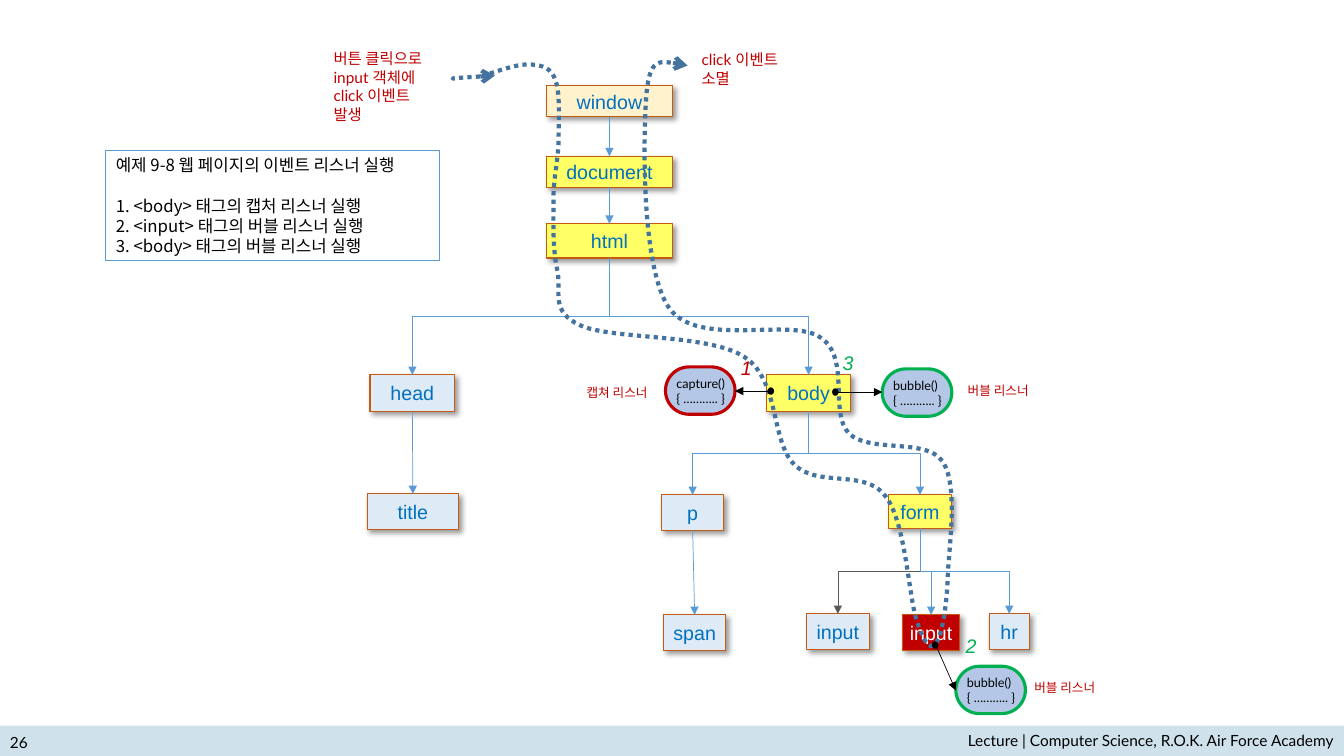
from lxml import etree
from pptx import Presentation
from pptx.dml.color import RGBColor
from pptx.enum.dml import MSO_LINE
from pptx.enum.shapes import MSO_CONNECTOR, MSO_SHAPE
from pptx.enum.text import MSO_ANCHOR, PP_ALIGN
from pptx.oxml.ns import qn
from pptx.util import Inches, Pt

RECTANGLE, PILL, OVAL = MSO_SHAPE.RECTANGLE, MSO_SHAPE.ROUNDED_RECTANGLE, MSO_SHAPE.OVAL
STRAIGHT, ELBOW = MSO_CONNECTOR.STRAIGHT, MSO_CONNECTOR.ELBOW
LEFT, CENTER, RIGHT = PP_ALIGN.LEFT, PP_ALIGN.CENTER, PP_ALIGN.RIGHT
TOP, MIDDLE = MSO_ANCHOR.TOP, MSO_ANCHOR.MIDDLE
DOTTED = MSO_LINE.ROUND_DOT

COLORS = {
    "bar": "CFE2EB", "black": "000000", "white": "FFFFFF", "red": "C00000",
    "green": "00B050", "label": "0070C0", "border": "C55A11", "link": "5B9BD5",
    "gray": "595959", "flow": "43739E", "cream": "FFF2CC", "yellow": "FFFF66",
    "pale": "DEEBF7", "listener": "B4C7E7",
}
COLORS = {name: RGBColor.from_string(value) for name, value in COLORS.items()}


def write_text(shape, text, size=11, color="black", font="Lato", align=LEFT, anchor=TOP,
               insets=(0.1, 0.05, 0.1, 0.05), wrap=True, italic=False, before=0, spacing=None):
    frame = shape.text_frame
    frame.word_wrap = wrap
    frame.vertical_anchor = anchor
    frame.margin_left, frame.margin_top, frame.margin_right, frame.margin_bottom = map(Inches, insets)
    for index, line in enumerate(text.split("\n")):
        para = frame.add_paragraph() if index else frame.paragraphs[0]
        para.alignment = align
        para.space_before = Pt(before)
        if spacing:
            para.line_spacing = Pt(spacing)
        span = para.add_run()
        span.text = line
        span.font.name = font
        span.font.size = Pt(size)
        span.font.italic = italic
        span.font.color.rgb = COLORS[color]


def style_arrow(arrow, color, width=0.5, head="triangle", dash=None):
    arrow.line.color.rgb = COLORS[color]
    arrow.line.width = Pt(width)
    if dash:
        arrow.line.dash_style = dash
    properties = arrow._element.spPr
    etree.SubElement(properties.find(qn("a:ln")), qn("a:tailEnd"), type=head)
    etree.SubElement(properties, qn("a:effectLst"))


deck = Presentation()
deck.slide_width, deck.slide_height = Inches(13.33), Inches(7.5)
page = deck.slides.add_slide(deck.slide_layouts[6])
shapes = page.shapes

bar = shapes.add_shape(RECTANGLE, 0, Inches(7.2), Inches(13.33), Inches(0.3))
bar.shadow.inherit = False
bar.fill.solid()
bar.fill.fore_color.rgb = COLORS["bar"]
bar.line.fill.background()

NODES = [
    ("window", "window", 5.42, 0.85, 1.25, 0.31, "cream"),
    ("document", "document", 5.42, 1.55, 1.25, 0.31, "yellow"),
    ("html", "html", 5.42, 2.22, 1.25, 0.34, "yellow"),
    ("head", "head", 3.67, 3.72, 0.84, 0.36, "pale"),
    ("body", "body", 7.6, 3.72, 0.84, 0.36, "yellow"),
    ("title", "title", 3.64, 4.9, 0.91, 0.35, "pale"),
    ("p", "p", 6.56, 4.91, 0.62, 0.35, "pale"),
    ("form", "form", 8.81, 4.91, 0.63, 0.33, "yellow"),
    ("span", "span", 6.58, 6.1, 0.62, 0.35, "pale"),
    ("first input", "input", 8, 6.09, 0.62, 0.35, "pale"),
    ("target input", "input", 8.95, 6.1, 0.57, 0.35, "red"),
    ("hr", "hr", 9.81, 6.09, 0.4, 0.35, "pale"),
]
nodes = {}
for key, label, left, top, width, height, fill in NODES:
    node = shapes.add_shape(RECTANGLE, Inches(left), Inches(top), Inches(width), Inches(height))
    node.fill.solid()
    node.fill.fore_color.rgb = COLORS[fill]
    node.line.color.rgb = COLORS["border"]
    node.line.width = Pt(0.75)
    node.shadow.inherit = False
    shadow = etree.SubElement(node._element.spPr.find(qn("a:effectLst")), qn("a:outerShdw"),
                              blurRad="50800", dist="38100", dir="2700000", algn="tl", rotWithShape="0")
    shade = etree.SubElement(shadow, qn("a:srgbClr"), val=str(COLORS["black"]))
    etree.SubElement(shade, qn("a:alpha"), val="40000")
    write_text(node, label, size=14, color="white" if fill == "red" else "label", font="Arial",
               align=CENTER, anchor=MIDDLE, insets=(0.04, 0.05, 0.04, 0.05), wrap=False, before=2.8)
    nodes[key] = node

LINKS = [
    ("window", "document", STRAIGHT), ("document", "html", STRAIGHT),
    ("head", "title", STRAIGHT), ("p", "span", STRAIGHT),
    ("html", "head", ELBOW), ("html", "body", ELBOW),
    ("body", "p", ELBOW), ("body", "form", ELBOW),
    ("form", "first input", ELBOW), ("form", "target input", ELBOW), ("form", "hr", ELBOW),
]
for parent, child, kind in LINKS:
    link = shapes.add_connector(kind, 0, 0, 0, 0)
    link.begin_connect(nodes[parent], 2)
    link.end_connect(nodes[child], 0)
    if kind == ELBOW:
        goes_right = link.end_x > link.begin_x
        across, down = link.width, link.height
        link.left += (across - down) // 2
        link.top += (down - across) // 2
        link.width, link.height = down, across
        frame = link._element.spPr.find(qn("a:xfrm"))
        frame.set("rot", "16200000" if goes_right else "5400000")
        frame.set("flipH", "1" if goes_right else "0")
    style_arrow(link, "gray" if child == "first input" else "link")

EVENT_ROUTE = [
    (4.86, 0.73),
    (5.01, 0.68, 5.16, 0.63, 5.27, 0.64), (5.38, 0.65, 5.47, 0.67, 5.51, 0.8),
    (5.56, 0.93, 5.54, 1.23, 5.54, 1.43), (5.53, 1.62, 5.49, 1.77, 5.49, 1.98),
    (5.49, 2.19, 5.48, 2.48, 5.53, 2.69), (5.57, 2.9, 5.45, 3.09, 5.76, 3.23),
    (6.07, 3.37, 7.03, 3.31, 7.38, 3.54), (7.74, 3.77, 7.64, 4.38, 7.88, 4.61),
    (8.11, 4.84, 8.58, 4.65, 8.78, 4.92), (8.99, 5.18, 9.01, 5.94, 9.1, 6.18),
    (9.18, 6.42, 9.24, 6.45, 9.29, 6.37), (9.34, 6.3, 9.39, 6.03, 9.4, 5.73),
    (9.41, 5.43, 9.51, 4.82, 9.35, 4.58), (9.19, 4.34, 8.63, 4.5, 8.42, 4.3),
    (8.22, 4.09, 8.44, 3.55, 8.14, 3.35), (7.85, 3.14, 6.93, 3.46, 6.64, 3.06),
    (6.36, 2.67, 6.38, 1.37, 6.41, 0.96), (6.44, 0.56, 6.63, 0.61, 6.82, 0.65),
]
EVENT_START = [(4.51, 0.78), (4.42, 0.78, 4.91, 0.75, 4.91, 0.75)]
for start, *curves in (EVENT_ROUTE, EVENT_START):
    builder = shapes.build_freeform(Inches(start[0]), Inches(start[1]))
    builder.add_line_segments([(Inches(curve[4]), Inches(curve[5])) for curve in curves], close=False)
    route = builder.convert_to_shape()
    route.fill.background()
    segments = list(route._element.iter(qn("a:lnTo")))
    for segment, curve in zip(segments, curves):
        bend = etree.Element(qn("a:cubicBezTo"))
        for x, y in zip(curve[::2], curve[1::2]):
            etree.SubElement(bend, qn("a:pt"), x=str(Inches(x) - route.left), y=str(Inches(y) - route.top))
        segment.getparent().replace(segment, bend)
    style_arrow(route, "flow", width=3, head="arrow", dash=DOTTED)

LISTENERS = [
    ("capture()", 6.6, 3.64, "red", (7.62, 3.85), (7.62, 3.88), (7.29, 3.88)),
    ("bubble()", 9.48, 6.61, "green", (9.25, 6.37), (9.29, 6.42), (9.48, 6.85)),
    ("bubble()", 8.75, 3.66, "green", (8.26, 3.86), (8.31, 3.89), (8.75, 3.89)),
]
for name, left, top, outline, dot_corner, begin, end in LISTENERS:
    listener = shapes.add_shape(PILL, Inches(left), Inches(top), Inches(0.69), Inches(0.47))
    listener.adjustments[0] = 0.5
    dot = shapes.add_shape(OVAL, *map(Inches, dot_corner), Inches(0.05), Inches(0.06))
    for shape, fill, edge, weight in ((listener, "listener", outline, 2.25), (dot, "black", "black", 1)):
        shape.shadow.inherit = False
        shape.fill.solid()
        shape.fill.fore_color.rgb = COLORS[fill]
        shape.line.color.rgb = COLORS[edge]
        shape.line.width = Pt(weight)
    write_text(listener, name + "\n{ ……….. }", size=9, anchor=MIDDLE,
               insets=(0.04, 0.04, 0, 0.04), wrap=False)
    pointer = shapes.add_connector(STRAIGHT, *map(Inches, begin + end))
    style_arrow(pointer, "black")

summary = shapes.add_shape(RECTANGLE, Inches(1.05), Inches(1.49), Inches(3.31), Inches(1.09))
summary.shadow.inherit = False
summary.fill.background()
summary.line.color.rgb = COLORS["link"]
summary.line.width = Pt(0.75)
write_text(summary, "예제 9-8 웹 페이지의 이벤트 리스너 실행\n1. <body> 태그의 캡처 리스너 실행\n"
           "2. <input> 태그의 버블 리스너 실행\n3. <body> 태그의 버블 리스너 실행",
           size=12, font="Noto Sans CJK KR", spacing=14.4)
summary.text_frame.paragraphs[1].space_before = Pt(14.4)

event = {"color": "red"}
caption = {"size": 9, "color": "red"}
step = {"size": 14, "font": "Arial", "italic": True}
LABELS = [
    ("버튼 클릭으로\ninput 객체에\nclick 이벤트 발생", 3.21, 0.44, 1.1, 0.66, event),
    ("click 이벤트 소멸", 6.86, 0.45, 1.1, 0.29, event),
    ("1", 7.25, 3.48, 0.31, 0.32, {**step, "color": "red"}),
    ("2", 9.48, 6.24, 0.31, 0.32, {**step, "color": "green"}),
    ("3", 8.26, 3.43, 0.31, 0.34, {**step, "color": "green"}),
    ("캡쳐 리스너", 5.72, 3.77, 0.86, 0.25, caption),
    ("버블 리스너", 9.5, 3.75, 0.86, 0.25, caption),
    ("버블 리스너", 10.16, 6.7, 0.86, 0.25, caption),
    ("26", 0, 7.24, 0.76, 0.24, {"anchor": MIDDLE}),
    ("Lecture | Computer Science, R.O.K. Air Force Academy", 0.76, 7.2, 12.57, 0.28, {"align": RIGHT}),
]
for text, left, top, width, height, look in LABELS:
    box = shapes.add_textbox(Inches(left), Inches(top), Inches(width), Inches(height))
    write_text(box, text, **look)

deck.save("out.pptx")
